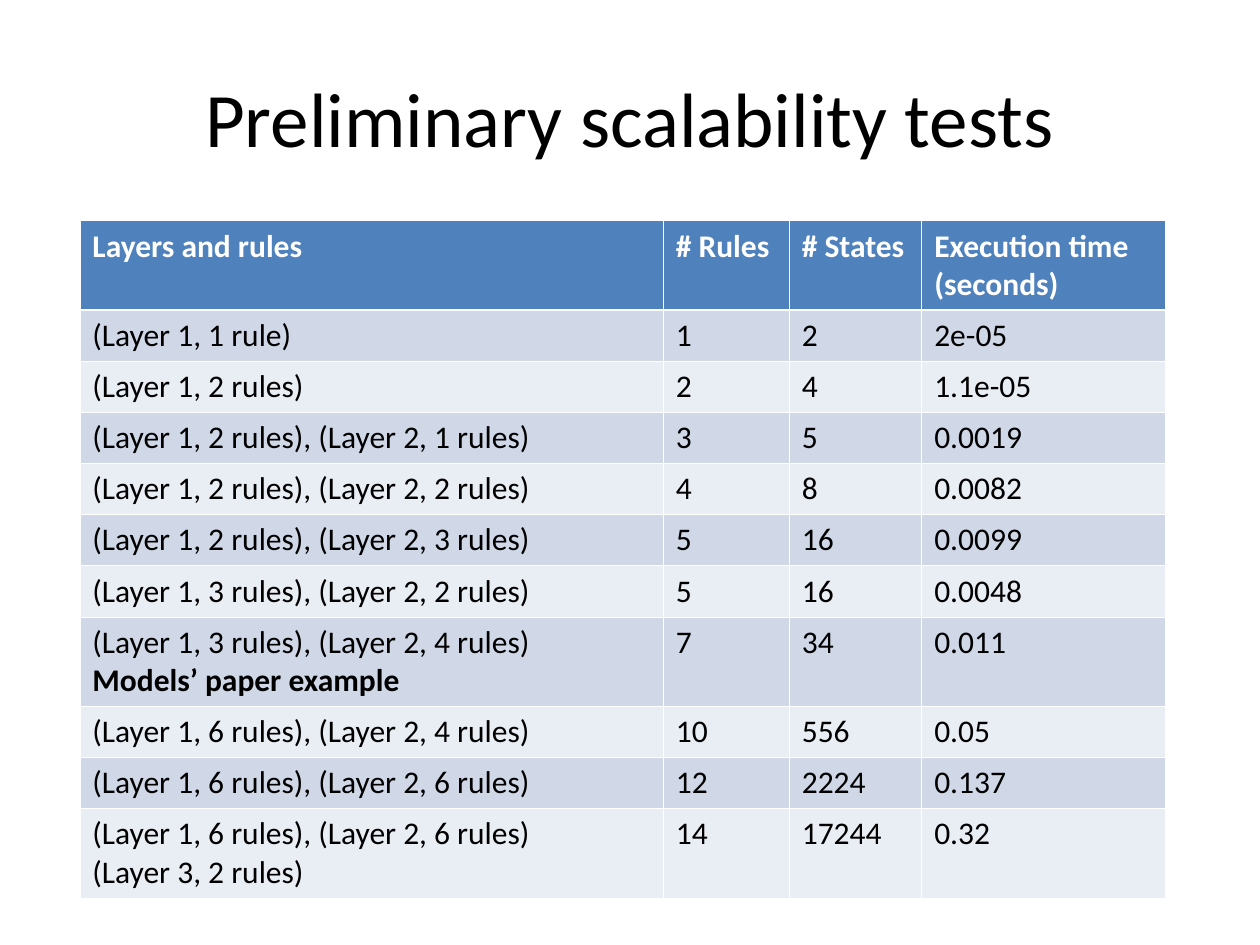
from dataclasses import dataclass

from pptx import Presentation
from pptx.dml.color import RGBColor
from pptx.enum.text import MSO_ANCHOR, PP_ALIGN
from pptx.oxml.ns import qn
from pptx.slide import Slide
from pptx.table import _Cell as Cell
from pptx.util import Cm, Pt
from lxml.etree import SubElement

FONT = "Calibri"
BLACK = RGBColor(0x00, 0x00, 0x00)
WHITE = RGBColor(0xFF, 0xFF, 0xFF)
BLUE = RGBColor(0x4F, 0x81, 0xBD)
BANDS = (RGBColor(0xD0, 0xD8, 0xE8), RGBColor(0xE9, 0xED, 0xF4))
THIN, THICK = Pt(0.45), Pt(1.47)
COLUMN_WIDTHS = (11.76, 2.54, 2.67, 4.91)
SINGLE_ROW, DOUBLE_ROW = Cm(1.03), Cm(1.78)
HEADERS = ("Layers and rules", "# Rules", "# States", "Execution time (seconds)")


@dataclass(frozen=True)
class ScalabilityTest:
    layers: str
    rules: str
    states: str
    seconds: str
    second_line: str = ""
    bold_second_line: bool = False


TESTS = (
    ScalabilityTest("(Layer 1, 1 rule)", "1", "2", "2e-05"),
    ScalabilityTest("(Layer 1, 2 rules)", "2", "4", "1.1e-05"),
    ScalabilityTest("(Layer 1, 2 rules), (Layer 2, 1 rules)", "3", "5", "0.0019"),
    ScalabilityTest("(Layer 1, 2 rules), (Layer 2, 2 rules)", "4", "8", "0.0082"),
    ScalabilityTest("(Layer 1, 2 rules), (Layer 2, 3 rules)", "5", "16", "0.0099"),
    ScalabilityTest("(Layer 1, 3 rules), (Layer 2, 2 rules)", "5", "16", "0.0048"),
    ScalabilityTest("(Layer 1, 3 rules), (Layer 2, 4 rules)", "7", "34", "0.011",
                    "Models’ paper example", True),
    ScalabilityTest("(Layer 1, 6 rules), (Layer 2, 4 rules)", "10", "556", "0.05"),
    ScalabilityTest("(Layer 1, 6 rules), (Layer 2, 6 rules)", "12", "2224", "0.137"),
    ScalabilityTest("(Layer 1, 6 rules), (Layer 2, 6 rules)", "14", "17244", "0.32",
                    "(Layer 3, 2 rules)"),
)


def set_borders(cell: Cell, top: int, bottom: int) -> None:
    tc_pr = cell._tc.get_or_add_tcPr()
    for tag, width in (("a:lnL", THIN), ("a:lnR", THIN), ("a:lnT", top), ("a:lnB", bottom)):
        line = SubElement(tc_pr, qn(tag), w=str(int(width)))
        fill = SubElement(line, qn("a:solidFill"))
        SubElement(fill, qn("a:srgbClr"), val=str(WHITE))


def style_paragraph(p, size: int, color: RGBColor, bold: bool = False) -> None:
    p.font.name = FONT
    p.font.size = Pt(size)
    p.font.bold = bold
    p.font.color.rgb = color


def write_cell(cell: Cell, text: str, fill: RGBColor, color: RGBColor, bold: bool,
               top: int = THIN, bottom: int = THIN) -> None:
    set_borders(cell, top, bottom)
    cell.fill.solid()
    cell.fill.fore_color.rgb = fill
    cell.text = text
    for p in cell.text_frame.paragraphs:
        style_paragraph(p, 18, color, bold)


def add_title(s: Slide, text: str) -> None:
    title = s.shapes.title
    title.left, title.top, title.width, title.height = Cm(1.27), Cm(0.76), Cm(22.86), Cm(3.18)
    tf = title.text_frame
    tf.text = text
    tf.vertical_anchor = MSO_ANCHOR.MIDDLE
    p = tf.paragraphs[0]
    p.alignment = PP_ALIGN.CENTER
    style_paragraph(p, 44, BLACK)


def add_results(s: Slide, tests: tuple[ScalabilityTest, ...]) -> None:
    heights = [DOUBLE_ROW] + [DOUBLE_ROW if t.second_line else SINGLE_ROW for t in tests]
    table = s.shapes.add_table(len(heights), len(HEADERS), Cm(1.61), Cm(4.45),
                               Cm(sum(COLUMN_WIDTHS)), sum(heights)).table
    for column, width in zip(table.columns, COLUMN_WIDTHS):
        column.width = Cm(width)
    for row, height in zip(table.rows, heights):
        row.height = height
    for col, header in enumerate(HEADERS):
        write_cell(table.cell(0, col), header, BLUE, WHITE, True, bottom=THICK)
    for i, test in enumerate(tests):
        layers = f"{test.layers}\n{test.second_line}" if test.second_line else test.layers
        for col, text in enumerate((layers, test.rules, test.states, test.seconds)):
            write_cell(table.cell(i + 1, col), text, BANDS[i % 2], BLACK, False,
                       top=THIN if i else THICK)
        if test.bold_second_line:
            table.cell(i + 1, 0).text_frame.paragraphs[1].font.bold = True


def main() -> None:
    prs = Presentation()
    prs.slide_width, prs.slide_height = Cm(25.4), Cm(19.05)
    s = prs.slides.add_slide(prs.slide_layouts[5])
    add_title(s, "Preliminary scalability tests")
    add_results(s, TESTS)
    prs.save("out.pptx")


if __name__ == "__main__":
    main()
